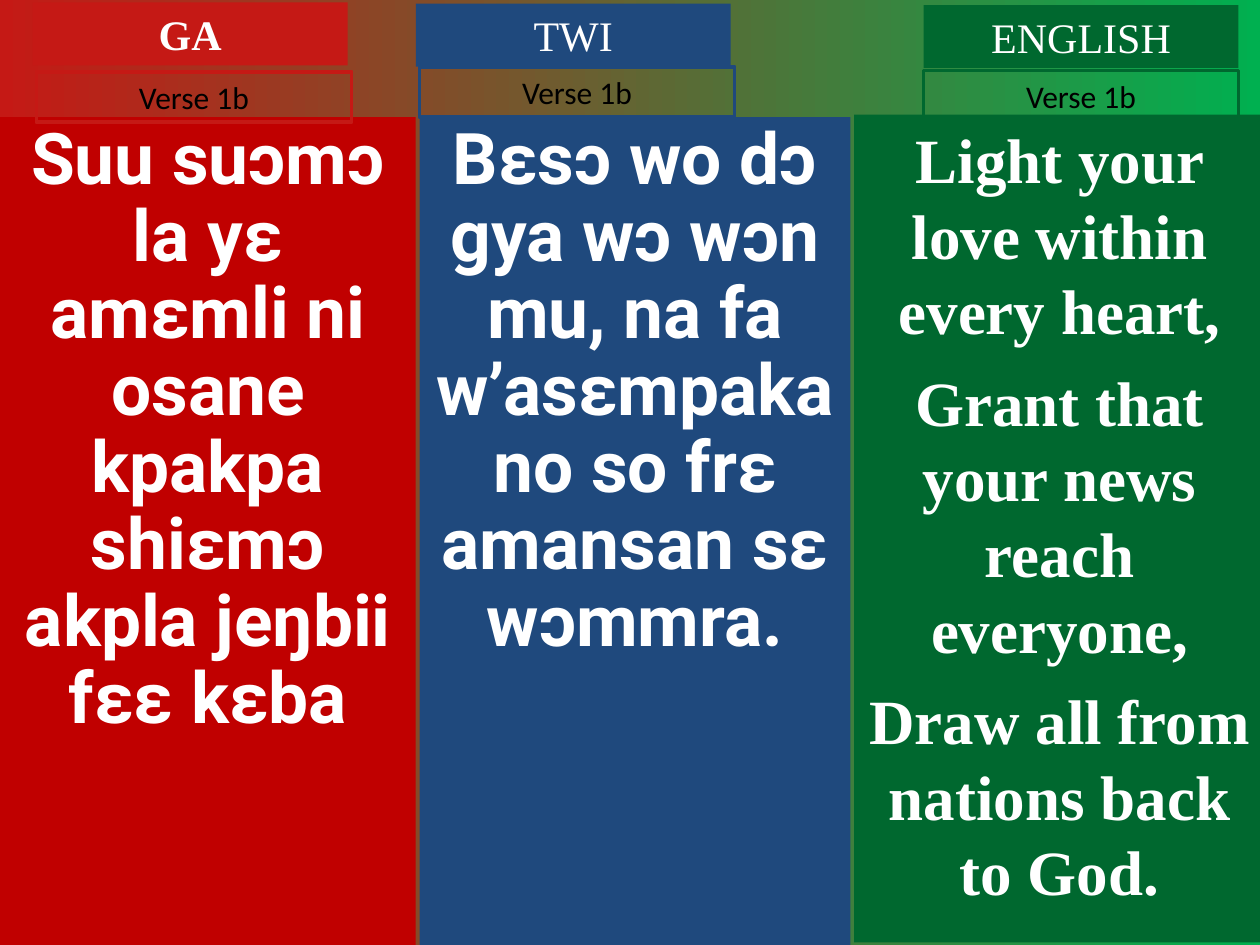
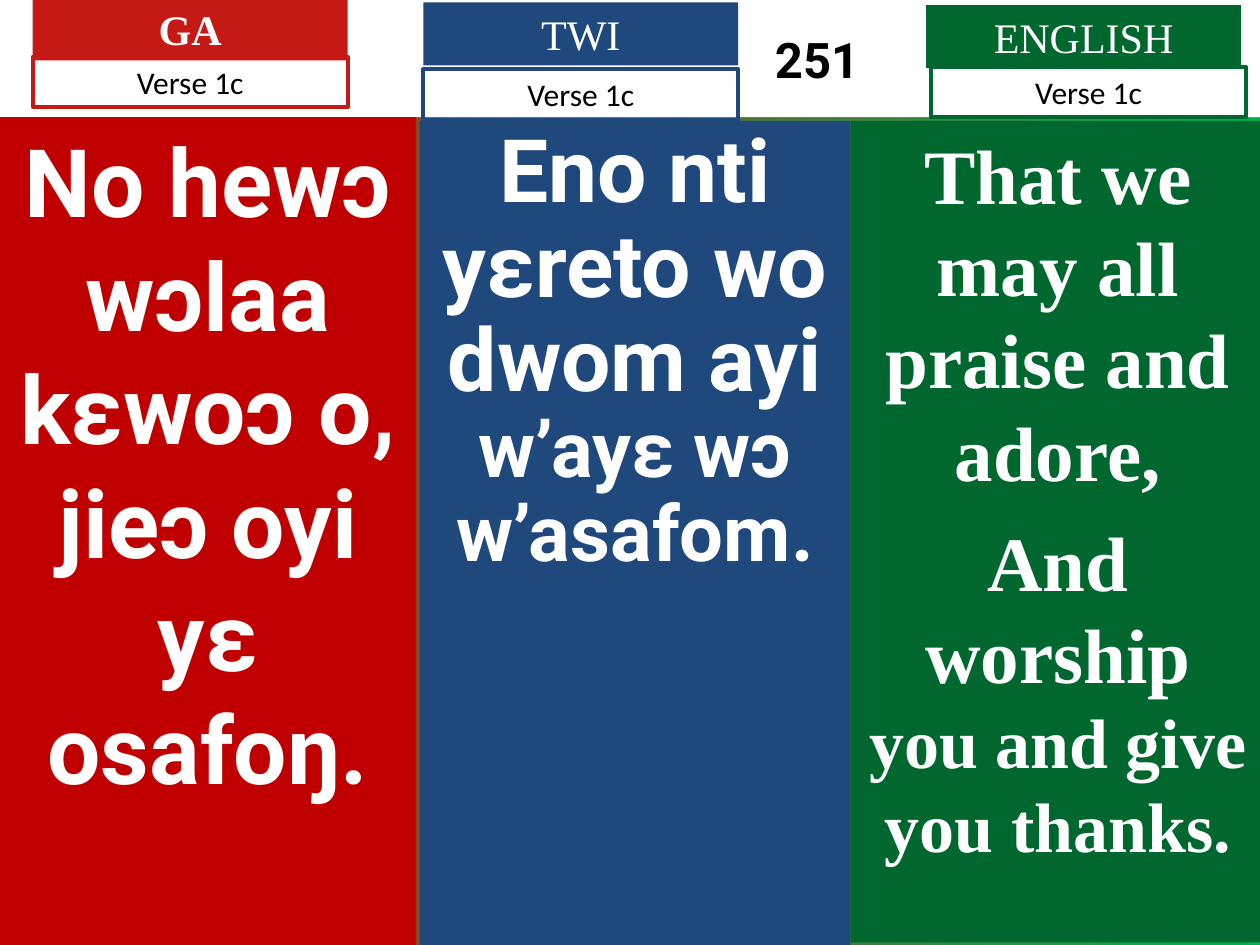
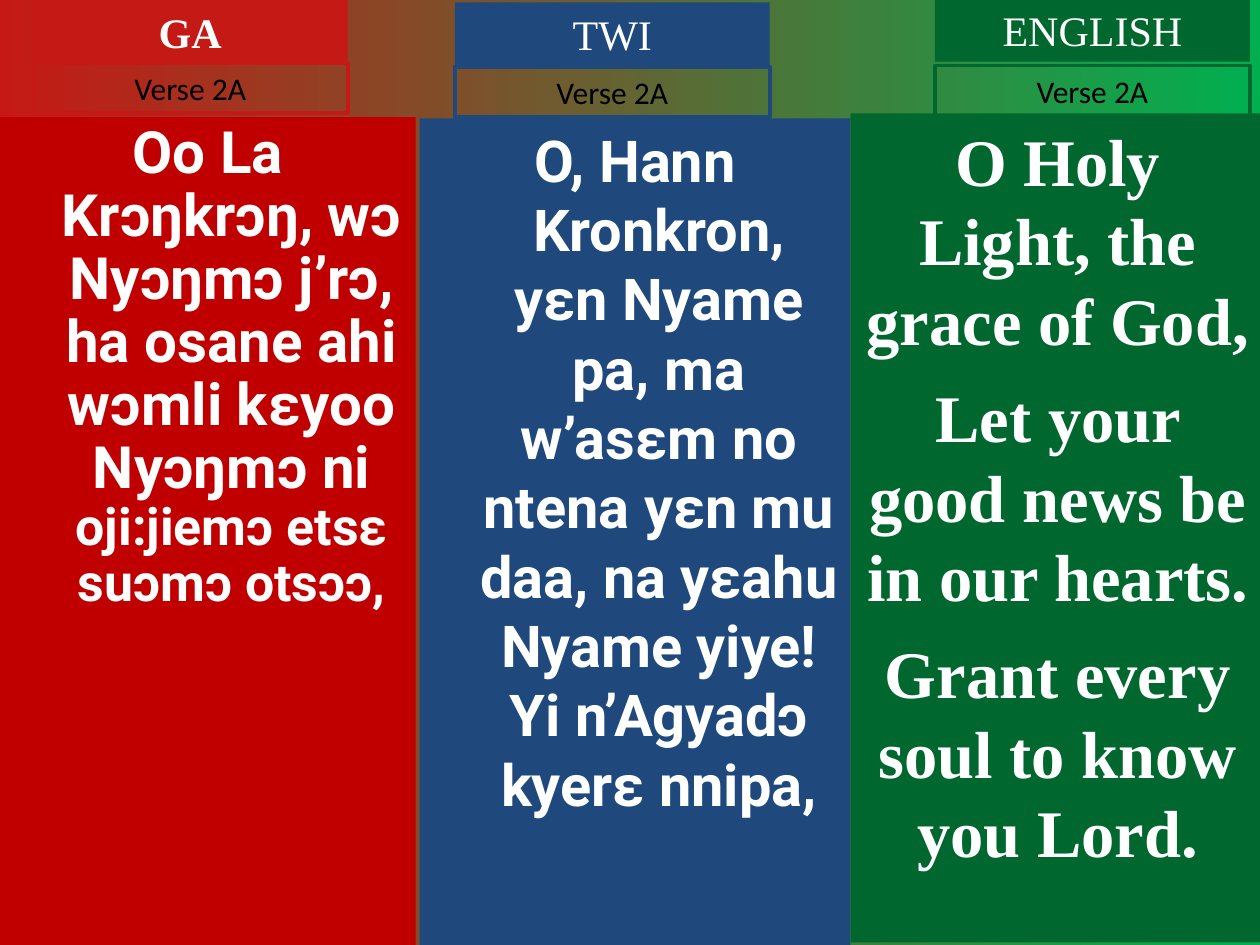
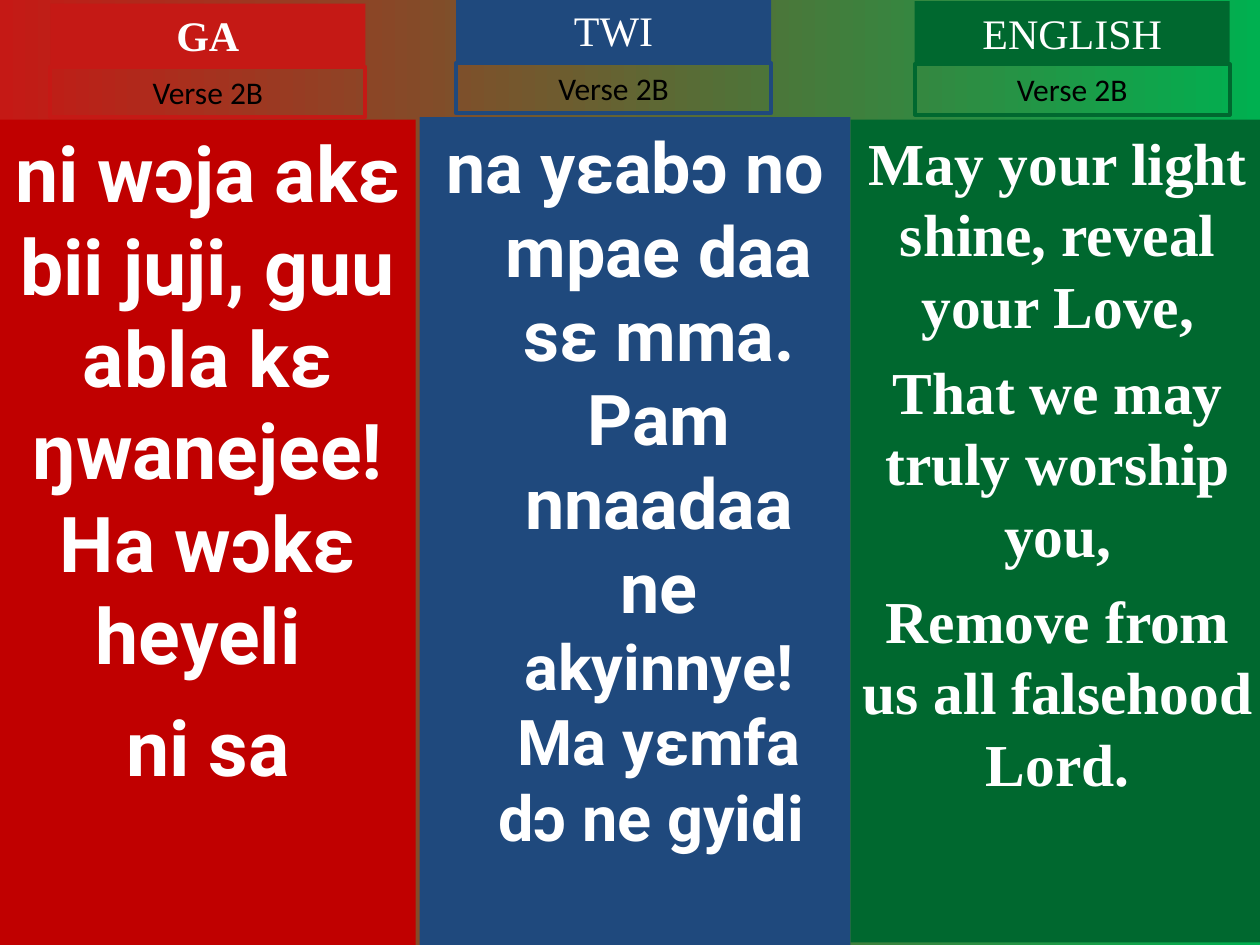
from dataclasses import dataclass

from pptx import Presentation
from pptx.dml.color import RGBColor
from pptx.enum.shapes import MSO_SHAPE
from pptx.enum.text import MSO_ANCHOR, MSO_AUTO_SIZE, PP_ALIGN
from pptx.util import Inches, Pt


@dataclass(frozen=True)
class Theme:
    """Colours, fonts and type sizes shared by all slides."""
    white: str = "FFFFFF"
    black: str = "000000"
    red: str = "C51915"
    deep: str = "C00000"
    blue: str = "1F497D"
    green: str = "00682F"
    glow: str = "00B050"
    sans: str = "Roboto"
    serif: str = "Times New Roman"
    plain: str = "Calibri"
    title: float = 28
    label: float = 24
    verse: float = 18
    edge: float = 2.25


@dataclass(frozen=True)
class Lang:
    """Fixed look of one language column."""
    name: str
    fill: str
    tint: str
    font: str
    left: float
    right: float
    foot: float
    bold: bool = False


@dataclass(frozen=True)
class Part:
    """Lyrics of one column, each paragraph a list of (size, text) runs."""
    top: float
    label: tuple
    verse: tuple
    lines: list
    space: float = 1.0
    before: float = 0
    hang: float = 0
    outs: tuple = ()
    left: float = None


THEME = Theme()
LANGS = [
    Lang("GA", THEME.deep, THEME.red, THEME.sans, 0, 3.3, 7.5, True),
    Lang("TWI", THEME.blue, THEME.blue, THEME.sans, 3.33, 6.75, 7.5),
    Lang("ENGLISH", THEME.green, THEME.green, THEME.serif, 6.75, 10.04, 7.48),
]
SONGS = [
    ("Verse 1b", None, [
        Part(0.93, (0.26, 0.02), (0.29, 0.57), [[
            (40.7, "Suu suɔmɔ la yɛ amɛmli ni osane kpakpa shiɛmɔ akpla jeŋbii fɛɛ kɛba")]],
            space=0.9),
        Part(0.93, (3.3, 0.03), (3.33, 0.53), [[
            (40.7, "Bɛsɔ wo dɔ gya wɔ wɔn mu, na fa w’asɛmpaka no so frɛ amansan sɛ wɔmmra.")]],
            space=0.9),
        Part(0.91, (7.33, 0.04), (7.33, 0.56), [
            [(36, "Light your love within every heart,")],
            [(36, "Grant that your news reach everyone,")],
            [(36, "Draw all from nations back to God.")]], before=9, left=6.78),
    ]),
    ("Verse 1c", "251", [
        Part(0.93, (0.26, -0.02), (0.26, 0.45), [[
            (54, "No hewɔ wɔlaa kɛwoɔ o, jieɔ oyi yɛ osafoŋ.")]]),
        Part(0.96, (3.36, 0.02), (3.36, 0.55), [[
            (50, "Eno nti yɛreto wo dwom ayi "),
            (44.4, "w’ayɛ wɔ w’asafom.")]], space=0.9),
        Part(0.96, (7.35, 0.04), (7.39, 0.53), [
            [(44, "That we may all praise and adore,")],
            [(44, "And worship "), (40, "you and give you thanks.")]], before=10),
    ]),
    ("Verse 2A", None, [
        Part(0.93, (0.26, 0), (0.26, 0.5), [[
            (33.3, "Oo La Krɔŋkrɔŋ, wɔ Nyɔŋmɔ j’rɔ, ha osane ahi wɔmli kɛyoo Nyɔŋmɔ ni "),
            (29.6, "oji:jiemɔ etsɛ suɔmɔ otsɔɔ,")]], space=0.9, hang=0.38),
        Part(0.94, (3.61, 0.02), (3.61, 0.53), [[
            (33, "O, Hann Kronkron, yɛn Nyame pa, ma w’asɛm no ntena yɛn mu daa, "
                 "na yɛahu Nyame yiye! Yi n’Agyadɔ kyerɛ nnipa,")]], hang=0.38),
        Part(0.9, (7.42, -0.01), (7.42, 0.52), [
            [(38, "O Holy Light, the grace of God,")],
            [(38, "Let your good news be in our hearts.")],
            [(38, "Grant every soul to know you Lord.")]], before=9.5),
    ]),
    ("Verse 2B", None, [
        Part(0.95, (0.4, 0.03), (0.4, 0.53), [
            [(44, "ni wɔja akɛ bii juji, guu abla kɛ ŋwanejee! Ha wɔkɛ heyeli ")],
            [(44, "ni sa")]], before=11, outs=(0, 0.32)),
        Part(0.93, (3.62, -0.01), (3.62, 0.5), [[
            (40, "na yɛabɔ no mpae daa sɛ mma. Pam nnaadaa ne "),
            (36, "akyinnye! Ma yɛmfa dɔ ne gyidi ")]], hang=0.38),
        Part(0.95, (7.26, 0.01), (7.26, 0.51), [
            [(34, "May your light shine, reveal your Love,")],
            [(34, "That we may truly worship you,")],
            [(34, "Remove from us all falsehood Lord.")]], before=8.5),
    ]),
]


def paint(deck):
    """Give the master the red to green backdrop."""
    fill = deck.slide_master.background.fill
    fill.gradient()
    fill.gradient_angle = 0
    for stop, place, tone in zip(fill.gradient_stops, (0, 1), (THEME.red, THEME.glow)):
        stop.position = place
        stop.color.rgb = RGBColor.from_string(tone)


def style(run, font, size, tone, bold=False):
    """Format one run."""
    run.font.name = font
    run.font.size = Pt(size)
    run.font.bold = bold
    run.font.color.rgb = RGBColor.from_string(tone)


def add_box(slide, left, top, width, height, fill=None, line=None):
    """Add a plain rectangle ready for text."""
    box = slide.shapes.add_shape(
        MSO_SHAPE.RECTANGLE, Inches(left), Inches(top), Inches(width), Inches(height))
    box.shadow.inherit = False
    if fill:
        box.fill.solid()
        box.fill.fore_color.rgb = RGBColor.from_string(fill)
    else:
        box.fill.background()
    if line:
        box.line.color.rgb = RGBColor.from_string(line)
        box.line.width = Pt(THEME.edge)
    else:
        box.line.fill.background()
    box.text_frame.word_wrap = True
    box.text_frame.vertical_anchor = MSO_ANCHOR.TOP
    return box


def add_tag(slide, spot, height, text, font, size, tone, bold=False, **look):
    """Add a one-line label that fits its text."""
    frame = add_box(slide, *spot, 2.5, height, **look).text_frame
    frame.auto_size = MSO_AUTO_SIZE.SHAPE_TO_FIT_TEXT
    frame.text = text
    para = frame.paragraphs[0]
    para.alignment = PP_ALIGN.CENTER
    style(para.runs[0], font, size, tone, bold)


def add_lyric(slide, lang, part):
    """Add a filled column with its lyrics."""
    left = lang.left if part.left is None else part.left
    frame = add_box(slide, left, part.top, lang.right - left,
                    lang.foot - part.top, fill=lang.fill).text_frame
    for at, runs in enumerate(part.lines):
        para = frame.add_paragraph() if at else frame.paragraphs[0]
        para.alignment = PP_ALIGN.CENTER
        para.line_spacing = part.space
        para.space_before = Pt(part.before if at else 0)
        out = part.outs[at] if part.outs else part.hang
        if out:
            props = para._p.get_or_add_pPr()
            props.set("marL", str(Inches(part.hang)))
            props.set("indent", str(-Inches(out)))
        for size, text in runs:
            run = para.add_run()
            run.text = text
            style(run, lang.font, size, THEME.white, True)


def add_title(slide, text):
    """Fill the title band, its number set right of centre."""
    title = slide.shapes.title
    title.left, title.top = Inches(0), Inches(0)
    title.width, title.height = Inches(10), Inches(0.93)
    title.fill.solid()
    title.fill.fore_color.rgb = RGBColor.from_string(THEME.white)
    frame = title.text_frame
    frame.text = text
    frame.margin_left = Inches(3.07)
    frame.vertical_anchor = MSO_ANCHOR.MIDDLE
    para = frame.paragraphs[0]
    para.alignment = PP_ALIGN.CENTER
    style(para.runs[0], THEME.sans, THEME.title, THEME.black, True)


def add_song(deck, verse, title, parts):
    """Add one slide with a column for each language."""
    slide = deck.slides.add_slide(deck.slide_layouts[5 if title else 6])
    if title:
        add_title(slide, title)
    for lang, part in zip(LANGS, parts):
        add_lyric(slide, lang, part)
        add_tag(slide, part.label, 0.5, lang.name, THEME.serif, THEME.label,
                THEME.white, lang.bold, fill=lang.tint)
        add_tag(slide, part.verse, 0.4, verse, THEME.plain, THEME.verse,
                THEME.black, line=lang.tint)


def main():
    """Build and save the deck."""
    deck = Presentation()
    deck.slide_width, deck.slide_height = Inches(10), Inches(7.5)
    paint(deck)
    for song in SONGS:
        add_song(deck, *song)
    deck.save("out.pptx")


if __name__ == "__main__":
    main()
